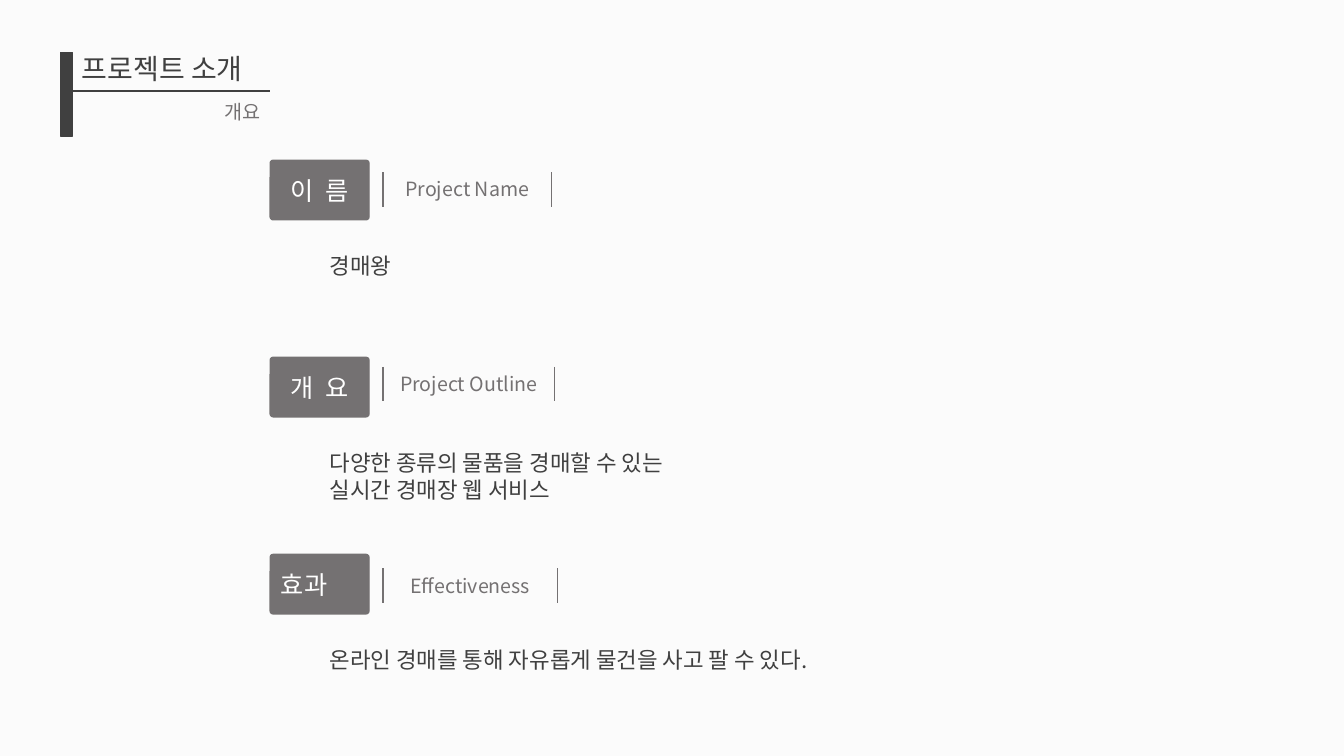
from lxml.etree import SubElement
from pptx import Presentation
from pptx.dml.color import RGBColor
from pptx.enum.shapes import MSO_CONNECTOR as Link, MSO_SHAPE as Shape
from pptx.enum.text import MSO_ANCHOR as Anchor, PP_ALIGN as Align
from pptx.oxml.ns import qn
from pptx.util import Inches, Pt

FONT = "Noto Sans CJK KR"
DARK = RGBColor(0x40, 0x40, 0x40)
GRAY = RGBColor(0x74, 0x71, 0x72)
WHITE = RGBColor(0xFF, 0xFF, 0xFF)
PAPER = RGBColor(0xFB, 0xFB, 0xFB)

TITLE, TOPIC = "프로젝트 소개", "개요"
# label, label alignment, English name, name top, name width, lines of text
ITEMS = [
    ("이  름", Align.CENTER, "Project Name", 1.71, 1.67, ["경매왕"]),
    ("개  요", Align.CENTER, "Project Outline", 3.64, 1.7,
     ["다양한 종류의 물품을 경매할 수 있는", "실시간 경매장 웹 서비스"]),
    ("효과", Align.JUSTIFY, "Effectiveness", 5.64, 1.73,
     ["온라인 경매를 통해 자유롭게 물건을 사고 팔 수 있다."]),
]
TOP, STEP = 1.59, 1.955
TAG_X, TAG_W, TAG_H = 2.68, 0.98, 0.59
NAME_X, NAME_H = 3.8, 0.34
TEXT_X, TEXT_W, LINE_H = 3.17, 7.99, 0.27


def write(shape, lines, size, color, align=Align.LEFT, anchor=Anchor.TOP):
    frame = shape.text_frame
    frame.word_wrap = True
    frame.vertical_anchor = anchor
    frame.text = "\n".join(lines)
    for par in frame.paragraphs:
        par.alignment = align
        font = par.font
        font.size, font.name = Pt(size), FONT
        font.color.rgb = color
        # Hangul takes its typeface from the East Asian slot
        SubElement(font._element, qn("a:ea"), typeface=FONT)


def add_text(x, y, w, h, *style):
    box = slide.shapes.add_textbox(Inches(x), Inches(y), Inches(w), Inches(h))
    write(box, *style)


def add_block(kind, x, y, w, h, color):
    block = slide.shapes.add_shape(
        kind, Inches(x), Inches(y), Inches(w), Inches(h))
    block.shadow.inherit = False
    block.fill.solid()
    block.fill.fore_color.rgb = block.line.color.rgb = color
    block.line.width = Pt(1)
    return block


def add_line(x1, y1, x2, y2, color, width):
    line = slide.shapes.add_connector(
        Link.STRAIGHT, Inches(x1), Inches(y1), Inches(x2), Inches(y2))
    line.line.color.rgb = color
    line.line.width = Pt(width)
    SubElement(line._element.spPr, qn("a:effectLst"))


deck = Presentation()
deck.slide_width, deck.slide_height = Inches(13.33), Inches(7.5)
slide = deck.slides.add_slide(deck.slide_layouts.get_by_name("Title Only"))
slide.background.fill.solid()
slide.background.fill.fore_color.rgb = PAPER

title = slide.shapes.title
title.left, title.top = Inches(0.71), Inches(0.46)
title.width, title.height = Inches(1.97), Inches(0.44)
write(title, [TITLE], 20, DARK, Align.JUSTIFY)
add_block(Shape.RECTANGLE, 0.6, 0.52, 0.12, 0.83, DARK)
add_line(0.71, 0.9, 2.68, 0.9, DARK, 1.5)
add_text(1.3, 0.94, 1.38, 0.34, [TOPIC], 14, GRAY, Align.RIGHT)

for i, (label, align, name, name_y, name_w, lines) in enumerate(ITEMS):
    y = TOP + i * STEP
    tag = add_block(Shape.ROUNDED_RECTANGLE, TAG_X, y, TAG_W, TAG_H, GRAY)
    tag.adjustments[0] = 0.05
    write(tag, [label], 18, WHITE, align, Anchor.MIDDLE)

    add_text(NAME_X, name_y, name_w, NAME_H, [name], 14, GRAY, Align.CENTER)
    for x in (NAME_X, NAME_X + name_w):
        add_line(x, name_y, x, name_y + NAME_H, GRAY, 1)

    add_text(TEXT_X, y + TAG_H + LINE_H, TEXT_W, 0.1 + LINE_H * len(lines),
             lines, 16, DARK)

deck.save("out.pptx")
